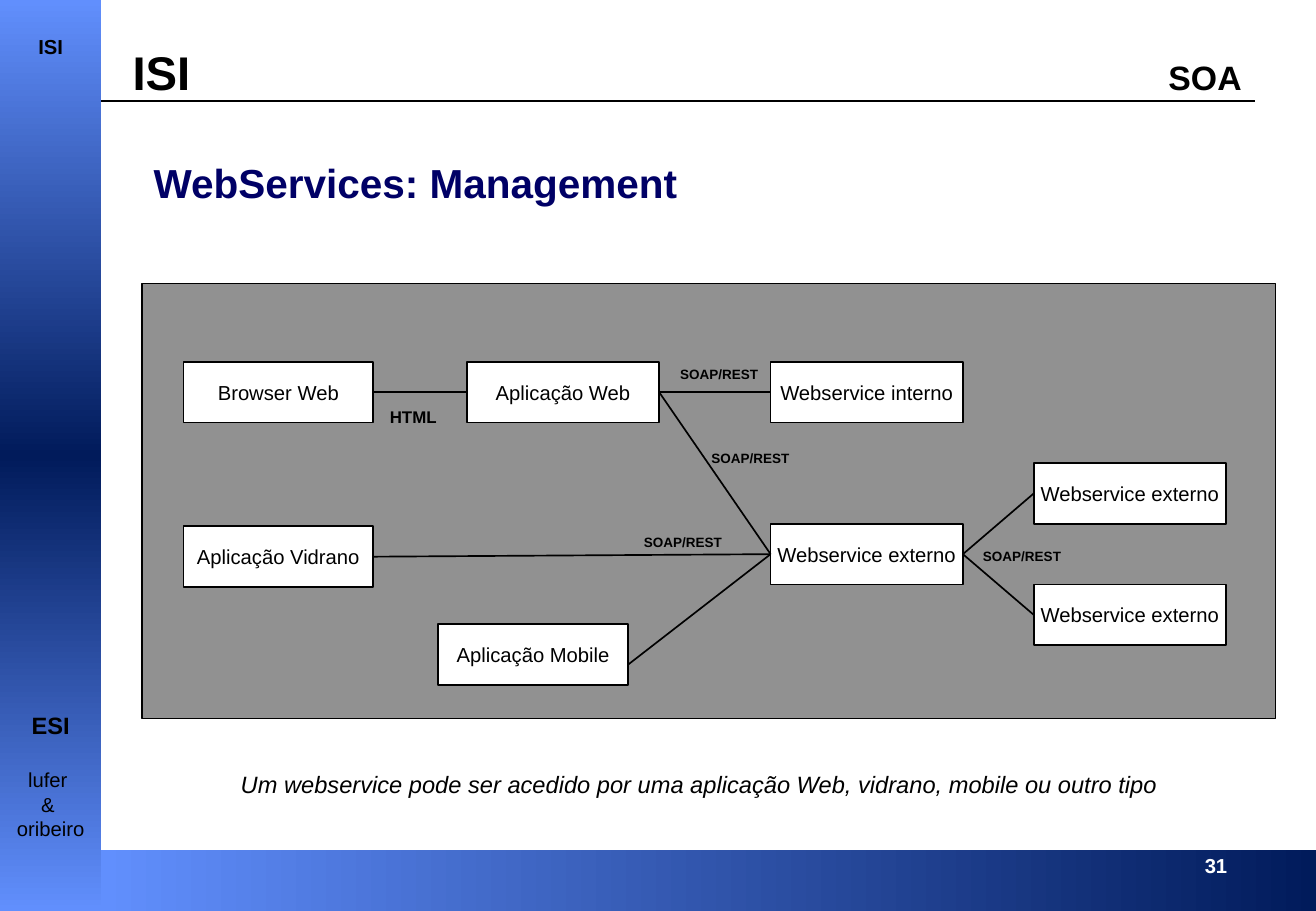
from copy import deepcopy
from dataclasses import dataclass
from typing import Any, Optional

from pptx import Presentation
from pptx.dml.color import RGBColor as RGB
from pptx.enum.shapes import MSO_AUTO_SHAPE_TYPE as Preset, MSO_CONNECTOR as Link
from pptx.enum.text import MSO_ANCHOR as Anchor, MSO_AUTO_SIZE as AutoSize, PP_ALIGN as Align
from pptx.oxml.ns import qn
from pptx.oxml.xmlchemy import OxmlElement
from pptx.util import Pt


@dataclass(frozen=True)
class Theme:
    font: str = "Arial"
    black: RGB = RGB(0x00, 0x00, 0x00)
    white: RGB = RGB(0xFF, 0xFF, 0xFF)
    navy: RGB = RGB(0x00, 0x00, 0x66)
    panel: RGB = RGB(0x91, 0x91, 0x91)
    sky: RGB = RGB(0x61, 0x8F, 0xFD)
    midnight: RGB = RGB(0x01, 0x1B, 0x5B)
    course: float = 28
    title: float = 24
    topic: float = 20
    body: float = 14
    box: float = 12
    html: float = 10
    protocol: float = 8
    stroke: float = 1


THEME = Theme()


@dataclass(frozen=True)
class Area:
    left: float
    top: float
    width: float
    height: float

    def lengths(self) -> tuple:
        return Pt(self.left), Pt(self.top), Pt(self.width), Pt(self.height)


@dataclass(frozen=True)
class Words:
    text: str
    size: float
    bold: bool = False
    italic: bool = False
    color: RGB = THEME.black
    before: float = 0


@dataclass(frozen=True)
class Box:
    name: str
    left: float
    top: float
    width: float = 114


@dataclass(frozen=True)
class Wire:
    start: str
    end: str
    start_drop: Optional[float] = None  # distance below the box top when not at mid-side


@dataclass(frozen=True)
class Label:
    words: Words
    area: Area
    wrap: bool = False
    align: Align = Align.LEFT


SIDEBAR_WIDTH = 60
BOX_HEIGHT = 36
LEFT_SIDE, RIGHT_SIDE = 1, 3

SIDEBAR_WORDS = [
    Words("ISI", THEME.box, bold=True),
    Words("ESI", THEME.body, bold=True, before=386.75),
    Words("lufer ", THEME.box, before=16.25),
    Words("& ", THEME.box, before=0.25),
    Words("oribeiro", THEME.box, before=0.25),
]

BOXES = {
    "browser": Box("Browser Web", 108.75, 214.5, 112.5),
    "web": Box("Aplicação Web", 276.75, 214.5),
    "internal": Box("Webservice interno", 456.75, 214.5),
    "desktop": Box("Aplicação Vidrano", 108.75, 312, 112.5),
    "external": Box("Webservice externo", 456.75, 310.5),
    "upper": Box("Webservice externo", 612.75, 274.5),
    "lower": Box("Webservice externo", 612.75, 346.5),
    "mobile": Box("Aplicação Mobile", 259.75, 370, 112.5),
}

WIRES = [
    Wire("browser", "web"),
    Wire("web", "internal"),
    Wire("desktop", "external"),
    Wire("external", "upper"),
    Wire("external", "lower"),
    Wire("web", "external"),
    Wire("mobile", "external", start_drop=24),
]

SOAP = Words("SOAP/REST", THEME.protocol, bold=True)
PROTOCOLS = [Label(Words("HTML", THEME.html, bold=True), Area(224, 237.75, 42.5, 19.5))] + [
    Label(SOAP, Area(left, top, 61, 17))
    for left, top in [(396, 213.5), (414.5, 263), (374.5, 313), (575.5, 321.5)]
]

TITLE = Label(Words("WebServices: Management", THEME.title, bold=True, color=THEME.navy),
              Area(84, 90, 510, 36), wrap=True)
CAPTION = Label(
    Words("Um webservice pode ser acedido por uma aplicação Web, vidrano, mobile ou outro tipo ",
          THEME.body, italic=True),
    Area(77, 453, 679, 24), wrap=True, align=Align.CENTER)
PAGE_NUMBER = Label(Words("31", THEME.box, bold=True, color=THEME.white),
                    Area(707, 502.5, 34, 21.75))


def apply_format(target: Any, values: dict) -> None:
    for attribute, value in values.items():
        setattr(target, attribute, value)


def add_words(paragraph: Any, words: Words) -> None:
    run = paragraph.add_run()
    run.text = words.text
    apply_format(run.font, {"name": THEME.font, "size": Pt(words.size),
                            "bold": words.bold, "italic": words.italic})
    run.font.color.rgb = words.color


def add_rectangle(slide: Any, area: Area, color: Optional[RGB] = None) -> Any:
    rectangle = slide.shapes.add_shape(Preset.RECTANGLE, *area.lengths())
    rectangle.shadow.inherit = False
    if color is None:
        rectangle.line.fill.background()
    else:
        rectangle.fill.solid()
        rectangle.fill.fore_color.rgb = color
        rectangle.line.color.rgb = THEME.black
        rectangle.line.width = Pt(THEME.stroke)
    return rectangle


def add_gradient(slide: Any, area: Area, angle: float, colors: list) -> Any:
    band = add_rectangle(slide, area)
    band.fill.gradient()
    band.fill.gradient_angle = angle
    stop_list = band._element.spPr.find(".//" + qn("a:gsLst"))
    for _ in colors[2:]:
        stop_list.append(deepcopy(stop_list[0]))
    for index, (stop, color) in enumerate(zip(band.fill.gradient_stops, colors)):
        apply_format(stop, {"position": index / (len(colors) - 1)})
        stop.color.rgb = color
    return band


def add_label(slide: Any, label: Label) -> Any:
    frame = slide.shapes.add_textbox(*label.area.lengths()).text_frame
    apply_format(frame, {"word_wrap": label.wrap, "auto_size": AutoSize.SHAPE_TO_FIT_TEXT})
    frame.paragraphs[0].alignment = label.align
    add_words(frame.paragraphs[0], label.words)
    return frame.paragraphs[0]


def add_line(slide: Any, start: tuple, end: tuple) -> Any:
    line = slide.shapes.add_connector(Link.STRAIGHT, *map(Pt, start + end))
    line.line.color.rgb = THEME.black
    line.line.width = Pt(THEME.stroke)
    line._element.spPr.append(OxmlElement("a:effectLst"))
    return line


def add_box(slide: Any, box: Box) -> Any:
    shape = add_rectangle(slide, Area(box.left, box.top, box.width, BOX_HEIGHT), THEME.white)
    apply_format(shape.text_frame, {"word_wrap": False, "vertical_anchor": Anchor.MIDDLE})
    shape.text_frame.paragraphs[0].alignment = Align.CENTER
    add_words(shape.text_frame.paragraphs[0], Words(box.name, THEME.box))
    return shape


def add_wire(slide: Any, wire: Wire, drawn: dict) -> None:
    start, end = BOXES[wire.start], BOXES[wire.end]
    drop = BOX_HEIGHT / 2 if wire.start_drop is None else wire.start_drop
    line = add_line(slide, (start.left + start.width, start.top + drop),
                    (end.left, end.top + BOX_HEIGHT / 2))
    if wire.start_drop is None:
        line.begin_connect(drawn[wire.start], RIGHT_SIDE)
    line.end_connect(drawn[wire.end], LEFT_SIDE)


def add_sidebar(slide: Any) -> None:
    sidebar = add_gradient(slide, Area(0, 0, SIDEBAR_WIDTH, 540), 90,
                           [THEME.sky, THEME.midnight, THEME.sky])
    frame = sidebar.text_frame
    apply_format(frame, {"word_wrap": False, "vertical_anchor": Anchor.TOP, "margin_top": Pt(20.5)})
    for index, words in enumerate(SIDEBAR_WORDS):
        paragraph = frame.add_paragraph() if index else frame.paragraphs[0]
        apply_format(paragraph, {"alignment": Align.CENTER, "space_before": Pt(words.before)})
        add_words(paragraph, words)


def add_header(slide: Any) -> None:
    heading = add_label(slide, Label(Words("ISI\t", THEME.course, bold=True),
                                     Area(71.5, 22, 692.5, 41), wrap=True))
    add_words(heading, Words("SOA", THEME.topic, bold=True))
    tabs, tab = OxmlElement("a:tabLst"), OxmlElement("a:tab")
    tab.set("pos", str(int(Pt(614))))
    tab.set("algn", "l")
    tabs.append(tab)
    heading._p.get_or_add_pPr().append(tabs)
    add_line(slide, (SIDEBAR_WIDTH, 60), (744, 60))


def main() -> None:
    deck = Presentation()
    apply_format(deck, {"slide_width": Pt(780), "slide_height": Pt(540)})
    slide = deck.slides.add_slide(deck.slide_layouts[6])

    # Frame of the page
    add_gradient(slide, Area(SIDEBAR_WIDTH, 504, 720, 36), 0, [THEME.sky, THEME.midnight])
    add_label(slide, PAGE_NUMBER)
    add_sidebar(slide)
    add_header(slide)
    add_label(slide, TITLE)

    # Service diagram
    add_rectangle(slide, Area(84, 168, 672, 258), THEME.panel)
    drawn = {key: add_box(slide, box) for key, box in BOXES.items()}
    for wire in WIRES:
        add_wire(slide, wire, drawn)
    for protocol in PROTOCOLS:
        add_label(slide, protocol)

    # Closing remark
    add_label(slide, CAPTION)
    deck.save("out.pptx")


if __name__ == "__main__":
    main()
